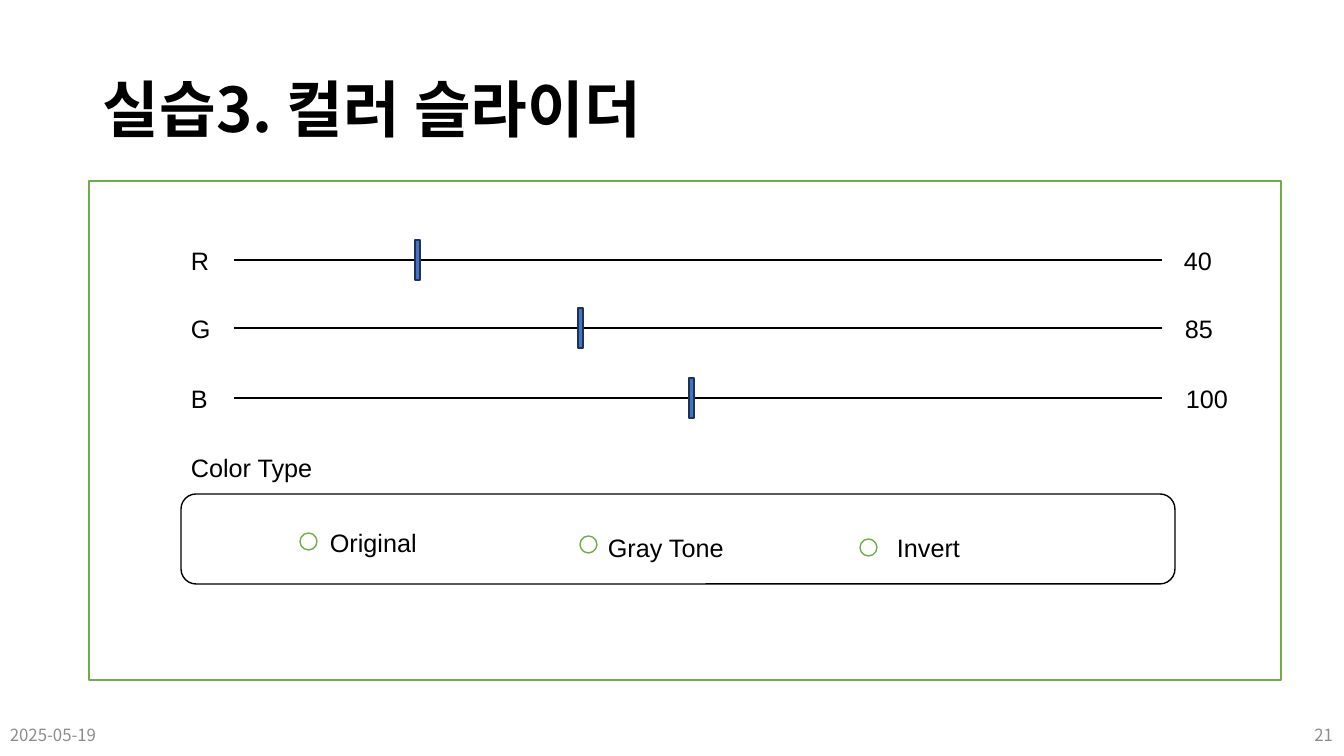
from pptx import Presentation
from pptx.dml.color import RGBColor as RGB
from pptx.enum.shapes import MSO_CONNECTOR, MSO_SHAPE as SHAPE
from pptx.enum.text import MSO_ANCHOR as ANCHOR, PP_ALIGN as ALIGN
from pptx.oxml.ns import qn
from pptx.util import Pt
from lxml.etree import SubElement

PX = 914400 / 100.8  # EMU in one px


class Theme:
    black = RGB(0x00, 0x00, 0x00)
    white = RGB(0xFF, 0xFF, 0xFF)
    gray = RGB(0x8C, 0x8C, 0x8C)
    green = RGB(0x70, 0xAD, 0x47)
    blue = RGB(0x44, 0x72, 0xC4)
    navy = RGB(0x1E, 0x32, 0x56)
    latin_font = "Arial"
    korean_font = "Noto Sans CJK KR"
    title_size = 44
    label_size = 18
    footer_size = 12


deck = Presentation()
deck.slide_width, deck.slide_height = round(1344 * PX), round(756 * PX)
page = deck.slides.add_slide(deck.slide_layouts[6])


def add_box(kind, frame, fill, line):
    box = page.shapes.add_shape(kind, *[round(length * PX) for length in frame])
    box.shadow.inherit = False
    box.fill.solid()
    box.fill.fore_color.rgb = fill
    box.line.color.rgb = line
    box.line.width = Pt(1)


def add_text(text, frame, size=Theme.label_size, color=Theme.black,
             font=Theme.latin_font, wrap=False):
    box = page.shapes.add_textbox(*[round(length * PX) for length in frame])
    box.text_frame.word_wrap = wrap
    box.text_frame.text = text
    para = box.text_frame.paragraphs[0]
    span = para.runs[0]
    span.font.size = Pt(size)
    span.font.name = font
    span.font.color.rgb = color
    SubElement(span.font._element, qn("a:ea")).set("typeface", font)
    if wrap:
        box.text_frame.vertical_anchor = ANCHOR.MIDDLE
    return para


# Title
title = add_text("실습3. 컬러 슬라이더", (93, 40, 1159, 146), Theme.title_size,
                 font=Theme.korean_font, wrap=True)
title.line_spacing = 0.9
title.runs[0].font.bold = True

# Footer: date and page number
for text, left, align in (("2025-05-19", 0, ALIGN.LEFT), ("21", 1041, ALIGN.RIGHT)):
    footer = add_text(text, (left, 715, 302, 40), Theme.footer_size,
                      Theme.gray, Theme.korean_font, wrap=True)
    footer.alignment = align

# Panel
add_box(SHAPE.RECTANGLE, (89, 181, 1192, 499), Theme.white, Theme.green)

# Sliders: label, label width, track y, knob x, value, value x, value width
sliders = (
    ("R", 36, 260, 415, "40", 1174, 52),
    ("G", 38, 328, 578, "85", 1175, 52),
    ("B", 36, 398, 689, "100", 1176, 64),
)
for label, label_width, y, knob_x, value, value_x, value_width in sliders:
    ends = [round(length * PX) for length in (234, y, 1162, y)]
    track = page.shapes.add_connector(MSO_CONNECTOR.STRAIGHT, *ends)
    track.line.color.rgb = Theme.black
    track.line.width = Pt(1.5)
    SubElement(track._element.spPr, qn("a:effectLst"))
    top = y - 20
    add_text(label, (181, top, label_width, 40))
    add_text(value, (value_x, top, value_width, 40))
    add_box(SHAPE.RECTANGLE, (knob_x, top, 5, 40), Theme.blue, Theme.navy)

# Color type group
add_text("Color Type", (181, 447, 148, 40))
add_box(SHAPE.ROUNDED_RECTANGLE, (181, 494, 994, 90), Theme.white, Theme.black)

# Radio buttons: label, circle x and y, label x, y and width
options = (
    ("Original", 300, 533, 320, 522, 109),
    ("Gray Tone", 580, 536, 598, 527, 141),
    ("Invert", 860, 539, 887, 527, 88),
)
for label, circle_x, circle_y, label_x, label_y, label_width in options:
    add_text(label, (label_x, label_y, label_width, 40))
    add_box(SHAPE.OVAL, (circle_x, circle_y, 17, 17), Theme.white, Theme.green)

deck.save("out.pptx")
